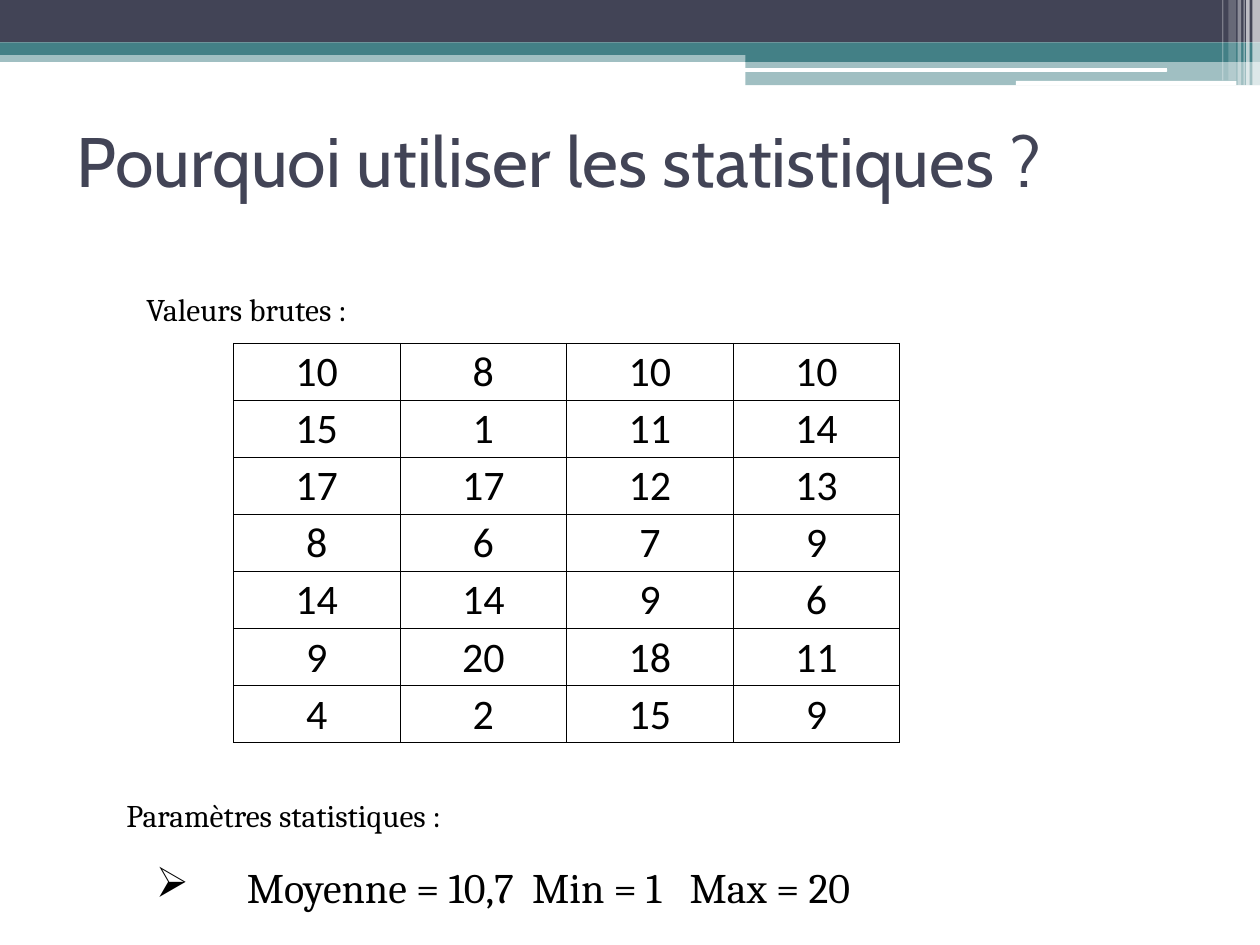
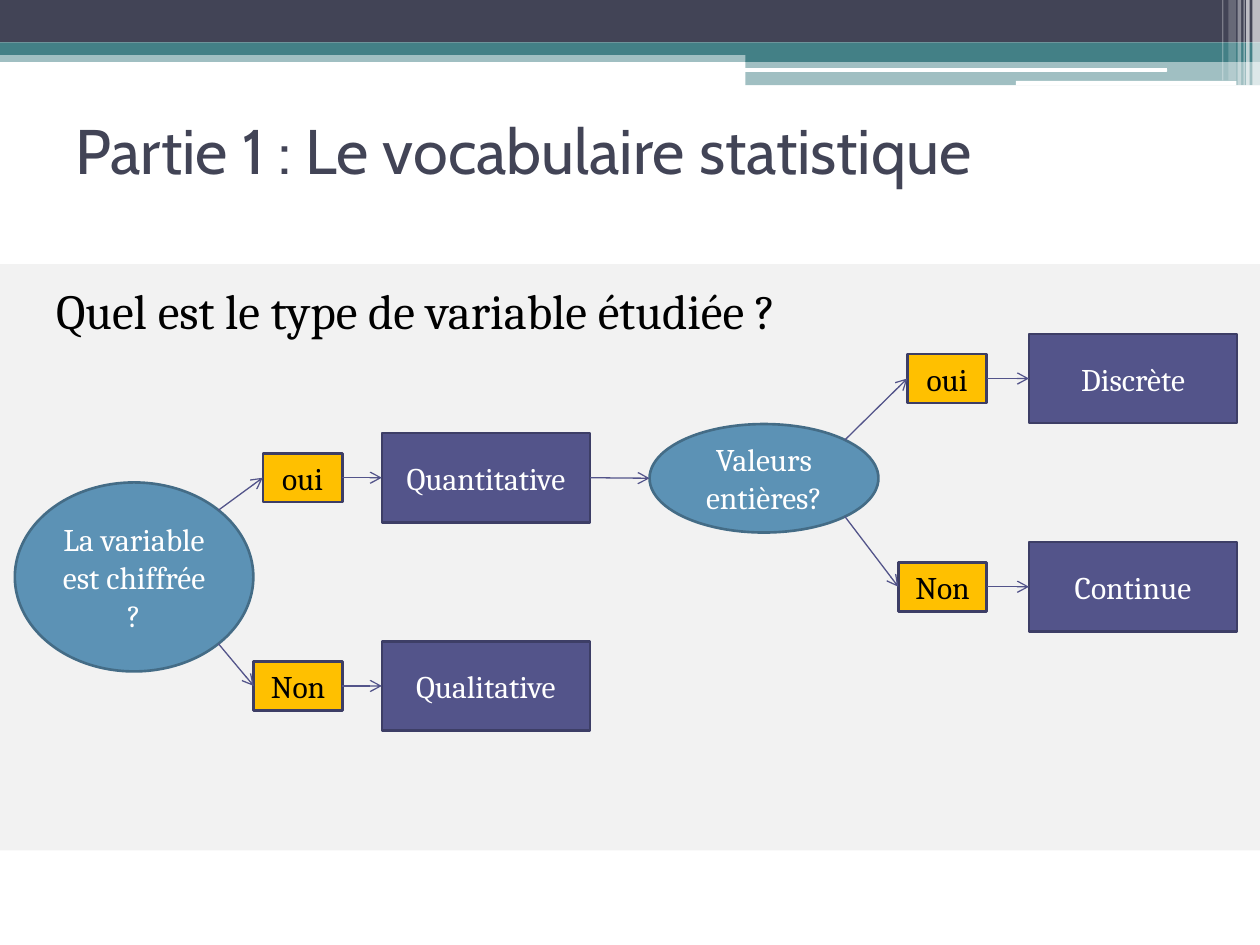
from math import sqrt

from lxml import etree
from pptx import Presentation
from pptx.dml.color import RGBColor
from pptx.enum import shapes, text
from pptx.oxml import ns
from pptx.util import Pt

INK = RGBColor(0x42, 0x44, 0x56)
TEAL = RGBColor(0x43, 0x80, 0x86)
PANEL = RGBColor(0xF2, 0xF2, 0xF2)
BLUE = RGBColor(0x5C, 0x92, 0xB5)
BLUE_EDGE = RGBColor(0x44, 0x6C, 0x86)
VIOLET = RGBColor(0x53, 0x54, 0x8A)
VIOLET_EDGE = RGBColor(0x3D, 0x3E, 0x66)
AMBER = RGBColor(0xFF, 0xC0, 0x00)
BLACK = RGBColor(0, 0, 0)
WHITE = RGBColor(0xFF, 0xFF, 0xFF)

TITLE_FONT, BODY_FONT, TABLE_FONT = "Cabin", "Cambria", "Calibri"
RECTANGLE = shapes.MSO_SHAPE.RECTANGLE
ROUNDED = shapes.MSO_SHAPE.ROUNDED_RECTANGLE
OVAL = shapes.MSO_SHAPE.OVAL

# Top decoration: left, top, width, height, colour, opacity %, geometry
BANDS = [
    (0, 28.8, 720, 6.6, TEAL, 50, RECTANGLE),
    (0, 0, 720, 24.2, INK, 100, RECTANGLE),
    (0, 24.2, 720, 7.2, TEAL, 100, RECTANGLE),
    (426, 28.2, 294, 7.2, TEAL, 100, RECTANGLE),
    (426, 34.8, 294, 13.9, TEAL, 50, RECTANGLE),
    (425.5, 38.9, 241.4, 2.2, WHITE, 100, ROUNDED),
    (580.5, 46.2, 126, 2.6, WHITE, 100, ROUNDED),
]
# Right-hand stripes: left, width, height, opacity %
STRIPES = [
    (715.7, 4.3, 49, 65), (712.1, 2.1, 49, 65), (710.6, 0.7, 49, 60),
    (707.2, 2, 49, 40), (702, 4.3, 46, 20), (698.4, 0.7, 46, 30),
]

GRADES = [
    (10, 8, 10, 10),
    (15, 1, 11, 14),
    (17, 17, 12, 13),
    (8, 6, 7, 9),
    (14, 14, 9, 6),
    (9, 20, 18, 11),
    (4, 2, 15, 9),
]


def add_xml(parent, tag, **attributes):
    values = {name: str(value) for name, value in attributes.items()}
    return etree.SubElement(parent, ns.qn(tag), values)


class Deck:
    def __init__(self):
        self.presentation = Presentation()
        self.presentation.slide_width = Pt(720)
        self.presentation.slide_height = Pt(540)
        self.layout = self.presentation.slide_layouts.get_by_name("Title Only")
        self.slide = None

    def add_run(self, paragraph, words, size, color=BLACK, font=BODY_FONT):
        run = paragraph.add_run()
        run.text = words
        run.font.size = Pt(size)
        run.font.name = font
        run.font.color.rgb = color

    def add_slide(self, title, left, top, size):
        self.slide = self.presentation.slides.add_slide(self.layout)
        holder = self.slide.shapes.title
        holder.left, holder.top = Pt(left), Pt(top)
        holder.width, holder.height = Pt(648), Pt(84)
        frame = holder.text_frame
        frame.auto_size = text.MSO_AUTO_SIZE.NONE
        frame.vertical_anchor = text.MSO_ANCHOR.MIDDLE
        paragraph = frame.paragraphs[0]
        paragraph.alignment = text.PP_ALIGN.LEFT
        self.add_run(paragraph, title, size, INK, TITLE_FONT)

    def share_bands(self):
        """Draw the decoration once and move it to the common layout."""
        for holder in list(self.layout.placeholders):
            if holder.placeholder_format.type != shapes.PP_PLACEHOLDER.TITLE:
                holder.element.getparent().remove(holder.element)
        stripes = [(left, 0, width, height, WHITE, opacity, RECTANGLE)
                   for left, width, height, opacity in STRIPES]
        bands = [self.add_shape(kind, left, top, width, height, color, opacity=opacity)
                 for left, top, width, height, color, opacity, kind in BANDS + stripes]
        for band in bands:
            self.layout.shapes.element.append(band.element)

    def add_shape(self, kind, left, top, width, height, fill, edge=None,
                  words="", color=WHITE, opacity=100):
        shape = self.slide.shapes.add_shape(kind, Pt(left), Pt(top), Pt(width), Pt(height))
        shape.shadow.inherit = False
        shape.fill.solid()
        shape.fill.fore_color.rgb = fill
        if opacity < 100:
            solid = shape.element.spPr.find(ns.qn("a:solidFill"))
            add_xml(solid[0], "a:alpha", val=opacity * 1000)
        if edge is None:
            shape.line.fill.background()
        else:
            shape.line.color.rgb = edge
            shape.line.width = Pt(1.5)
        if words:
            frame = shape.text_frame
            frame.word_wrap = True
            frame.vertical_anchor = text.MSO_ANCHOR.MIDDLE
            paragraph = frame.paragraphs[0]
            paragraph.alignment = text.PP_ALIGN.CENTER
            self.add_run(paragraph, words, 18, color)
        return shape

    def add_text(self, left, top, width, height, words, size):
        box = self.slide.shapes.add_textbox(Pt(left), Pt(top), Pt(width), Pt(height))
        box.text_frame.word_wrap = True
        paragraph = box.text_frame.paragraphs[0]
        self.add_run(paragraph, words, size)
        return paragraph

    def add_bullet(self, paragraph, indent, tab_stops):
        properties = paragraph._p.get_or_add_pPr()
        properties.set("marL", str(Pt(indent)))
        properties.set("indent", str(-Pt(indent)))
        add_xml(properties, "a:buChar", char="➢")
        tabs = add_xml(properties, "a:tabLst")
        for stop in tab_stops:
            add_xml(tabs, "a:tab", pos=Pt(stop), algn="l")

    def add_table(self, left, top, column_width, row_height, rows):
        columns = len(rows[0])
        frame = self.slide.shapes.add_table(
            len(rows), columns, Pt(left), Pt(top),
            Pt(column_width * columns), Pt(row_height * len(rows)))
        table = frame.table
        table.first_row = table.horz_banding = False
        for column in table.columns:
            column.width = Pt(column_width)
        for row, values in zip(table.rows, rows):
            row.height = Pt(row_height)
            for cell, value in zip(row.cells, values):
                self.fill_cell(cell, str(value))

    def fill_cell(self, cell, words):
        cell.fill.background()
        cell.vertical_anchor = text.MSO_ANCHOR.MIDDLE
        cell.margin_left = cell.margin_right = cell.margin_top = Pt(0.7)
        cell.margin_bottom = 0
        paragraph = cell.text_frame.paragraphs[0]
        paragraph.alignment = text.PP_ALIGN.CENTER
        self.add_run(paragraph, words, 24, font=TABLE_FONT)
        properties = cell._tc.get_or_add_tcPr()
        for position, side in enumerate("LRTB"):
            border = add_xml(properties, f"a:ln{side}", w=Pt(0.5))
            add_xml(add_xml(border, "a:solidFill"), "a:srgbClr", val=BLACK)
            properties.insert(position, border)

    def add_arrow(self, start=(0, 0), end=(0, 0), source=None, target=None):
        """Run from a point or a right side to a point or a left side."""
        arrow = self.slide.shapes.add_connector(
            shapes.MSO_CONNECTOR.STRAIGHT, *(Pt(value) for value in (*start, *end)))
        if source is not None:
            arrow.begin_connect(source, 3)
        if target is not None:
            arrow.end_connect(target, 1)
        arrow.line.color.rgb = VIOLET
        arrow.line.width = Pt(0.75)
        properties = arrow.element.spPr
        add_xml(properties.find(ns.qn("a:ln")), "a:tailEnd", type="arrow")
        add_xml(properties, "a:effectLst")

    def add_question(self, left, top, width, height, words, answer_right,
                     result_left, first_middle, results):
        """An oval question, its two answers and their results."""
        self.add_shape(OVAL, left, top, width, height, BLUE, BLUE_EDGE, words)
        reach = sqrt(0.5) / 2
        answers = [("oui", 45.4, -1), ("Non", 50.6, 1)]
        boxes = []
        for row, ((answer, answer_width, side), result) in enumerate(zip(answers, results)):
            middle = first_middle + row * 119
            answer_box = self.add_shape(
                RECTANGLE, answer_right - answer_width, middle - 14, answer_width, 28,
                AMBER, VIOLET_EDGE, answer, BLACK)
            result_box = self.add_shape(
                RECTANGLE, result_left, middle - 25.5, 119, 51, VIOLET, VIOLET_EDGE, result)
            corner = (left + width * (0.5 + reach), top + height * (0.5 + side * reach))
            self.add_arrow(start=corner, target=answer_box)
            self.add_arrow(source=answer_box, target=result_box)
            boxes.append(result_box)
        return boxes


def main():
    deck = Deck()

    # Slide 1: raw values and their summary
    deck.add_slide("Pourquoi utiliser les statistiques ?", 36.5, 49, 40)
    deck.share_bands()
    deck.add_table(133.4, 196.2, 95.2, 32.6, GRADES)
    summary = deck.add_text(82, 489, 452, 36, "Moyenne = 10,7\tMin = 1\tMax = 20", 24)
    deck.add_bullet(summary, 52, (215, 305))
    deck.add_text(76.5, 162, 145.5, 29, "Valeurs brutes :", 18)
    deck.add_text(65.2, 451.4, 217.5, 29, "Paramètres statistiques :", 18)

    # Slide 2: decision tree for the type of variable
    deck.add_slide("Partie 1 : Le vocabulaire statistique", 36, 43.2, 36)
    deck.add_shape(RECTANGLE, 0, 151, 720, 335, PANEL)
    deck.add_text(25, 157, 466.5, 41, "Quel est le type de variable étudiée ?", 28)
    quantitative, _ = deck.add_question(
        8.5, 275.7, 136.3, 108, "La variable est chiffrée ?",
        195.6, 218.2, 273, ("Quantitative", "Qualitative"))
    deck.add_question(
        371.2, 242.3, 130.8, 62, "Valeurs entières?",
        563.9, 588, 216.3, ("Discrète", "Continue"))
    deck.add_arrow(source=quantitative, end=(371.2, 273.3))

    deck.presentation.save("out.pptx")


if __name__ == "__main__":
    main()
